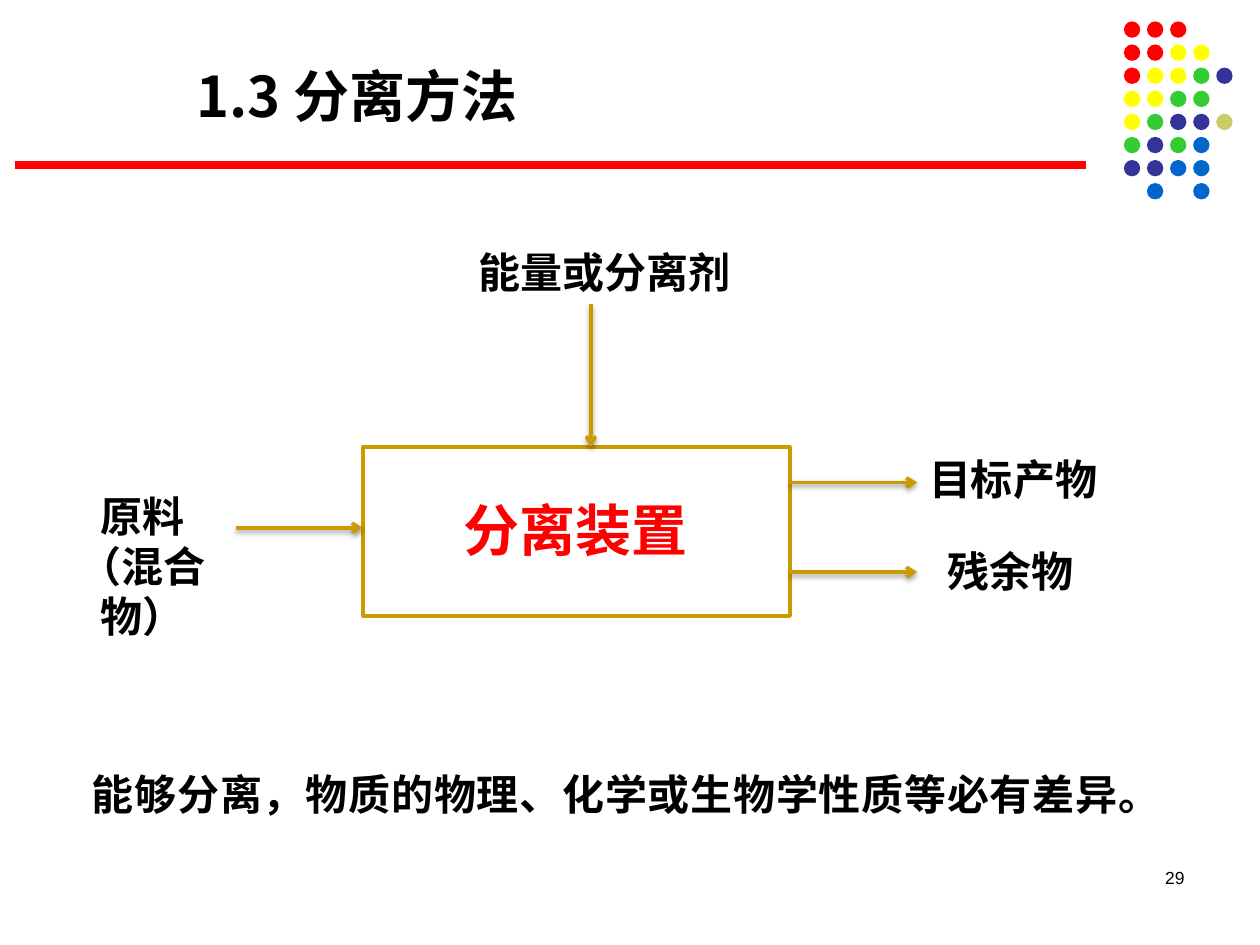
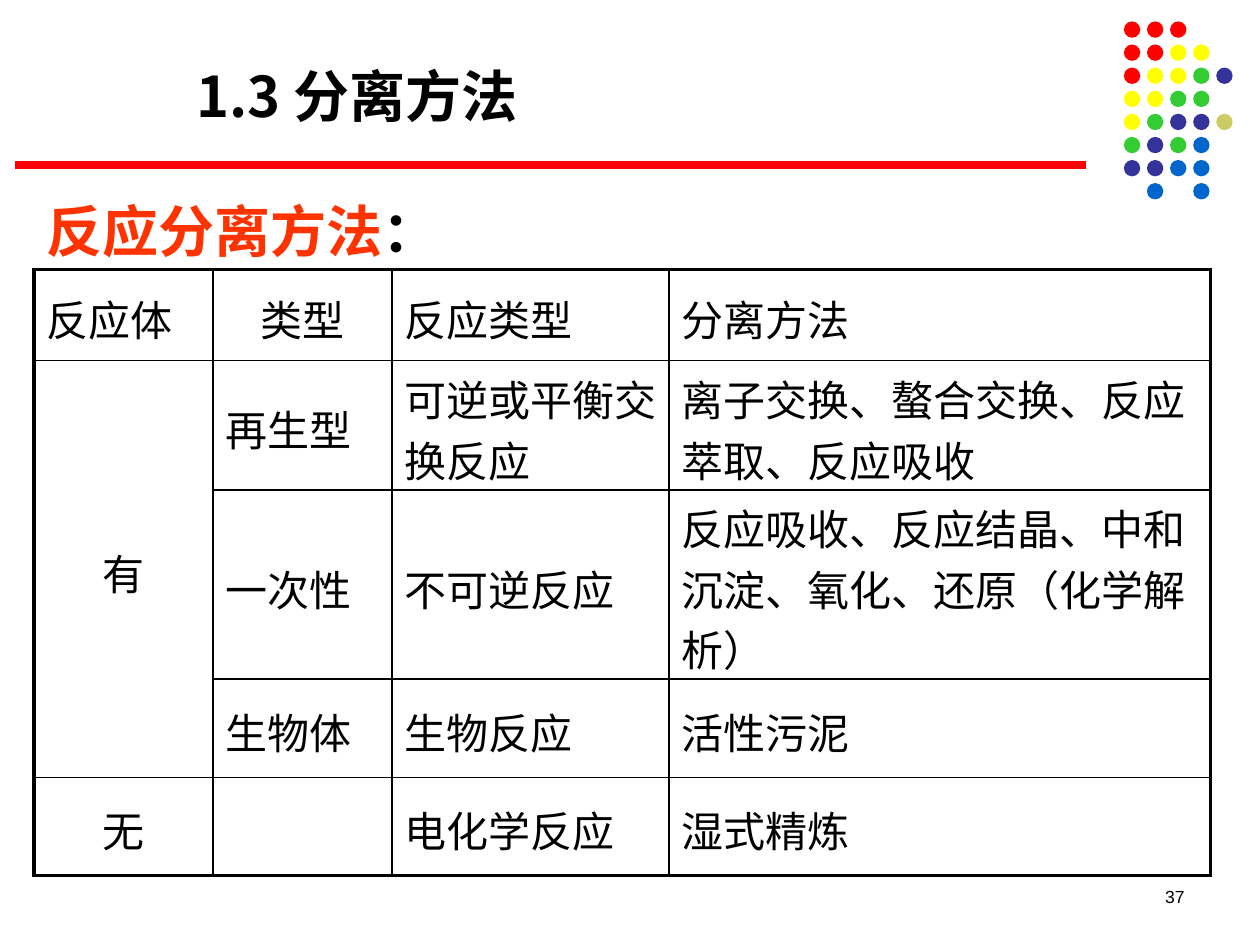
from lxml import etree
from pptx import Presentation
from pptx.dml.color import RGBColor
from pptx.enum.shapes import MSO_CONNECTOR, MSO_SHAPE
from pptx.enum.text import MSO_ANCHOR, MSO_AUTO_SIZE, PP_ALIGN
from pptx.oxml import parse_xml
from pptx.oxml.ns import nsdecls, qn
from pptx.util import Inches, Pt

BLACK = RGBColor(0x00, 0x00, 0x00)
WHITE = RGBColor(0xFF, 0xFF, 0xFF)
RED = RGBColor(0xFF, 0x00, 0x00)
ORANGE_RED = RGBColor(0xFF, 0x33, 0x00)
GOLD = RGBColor(0xCC, 0x99, 0x00)
DOT_COLORS = {
    "R": RED,
    "Y": RGBColor(0xFF, 0xFF, 0x00),
    "G": RGBColor(0x33, 0xCC, 0x33),
    "P": RGBColor(0x33, 0x33, 0x99),
    "B": RGBColor(0x00, 0x66, 0xCC),
    "K": RGBColor(0xCC, 0xCC, 0x66),
}
DOT_ROWS = ["RRR", "RRYY", "RYYGP", "YYGG", "YGPPK", "GPGB", "PPBB", " B B"]
DOT_PITCH = 1.1 / 6
CHINESE_FONT = "Noto Sans CJK SC"
NUMBER_FONT = "Arial"
SECTION_TITLE = "1.3 分离方法"

COLUMN_WIDTHS = [1.42, 1.42, 2.2, 4.3]
ROW_HEIGHTS = [0.72, 1.03, 1.5, 0.78, 0.78]
METHOD_ROWS = [
    ["反应体", "类型", "反应类型", "分离方法"],
    ["有", "再生型", "可逆或平衡交换反应", "离子交换、螯合交换、反应萃取、反应吸收"],
    ["", "一次性", "不可逆反应", "反应吸收、反应结晶、中和沉淀、氧化、还原（化学解析）"],
    ["", "生物体", "生物反应", "活性污泥"],
    ["无", "", "电化学反应", "湿式精炼"],
]
CENTERED_WORDS = {"类型", "有", "无"}


def add_run(paragraph, text, size, color, bold, font):
    run = paragraph.add_run()
    run.text = text
    run.font.size = Pt(size)
    run.font.bold = bold
    run.font.color.rgb = color
    run.font.name = font
    east_asian = etree.SubElement(run.font._element, qn("a:ea"))
    east_asian.set("typeface", font)


def write_text(frame, text, size=24, color=BLACK, bold=True, font=CHINESE_FONT,
               align=PP_ALIGN.CENTER, spacing=1.0, ending=""):
    frame.word_wrap = True
    for index, line in enumerate(text.split("\n")):
        paragraph = frame.paragraphs[0] if index == 0 else frame.add_paragraph()
        paragraph.alignment = align
        paragraph.line_spacing = spacing
        add_run(paragraph, line, size, color, bold, font)
    if ending:
        add_run(paragraph, ending, size, BLACK, bold, font)


def add_label(slide, left, top, width, height, text, **text_format):
    box = slide.shapes.add_textbox(Inches(left), Inches(top), Inches(width), Inches(height))
    write_text(box.text_frame, text, **text_format)


def add_block(slide, preset, left, top, width, height, fill, outline=None):
    shape = slide.shapes.add_shape(
        preset, Inches(left), Inches(top), Inches(width), Inches(height))
    shape.shadow.inherit = False
    shape.fill.solid()
    shape.fill.fore_color.rgb = fill
    if outline is None:
        shape.line.fill.background()
    else:
        shape.line.color.rgb = outline
        shape.line.width = Pt(2)


def add_line(slide, start, end, color, width):
    line = slide.shapes.add_connector(
        MSO_CONNECTOR.STRAIGHT, *(Inches(value) for value in start + end))
    line.line.color.rgb = color
    line.line.width = Pt(width)
    effects = etree.SubElement(line._element.spPr, qn("a:effectLst"))
    return line, effects


def add_arrow(slide, start, end):
    line, effects = add_line(slide, start, end, GOLD, 2)
    etree.SubElement(line.line._get_or_add_ln(), qn("a:tailEnd"), type="arrow")
    effects.append(parse_xml(
        f'<a:outerShdw {nsdecls("a")} blurRad="{Pt(3.1)}" dist="{Pt(1.6)}" '
        'dir="5400000" rotWithShape="0"><a:srgbClr val="000000">'
        '<a:alpha val="38000"/></a:srgbClr></a:outerShdw>'))


def add_dots(slide):
    for row, codes in enumerate(DOT_ROWS):
        for column, code in enumerate(codes):
            if code in DOT_COLORS:
                add_block(slide, MSO_SHAPE.OVAL, 8.92 + column * DOT_PITCH,
                          0.17 + row * DOT_PITCH, 0.13, 0.13, DOT_COLORS[code])


def add_section_slide(presentation):
    slide = presentation.slides.add_slide(presentation.slide_layouts[5])
    title = slide.shapes.title
    title.left, title.top = Inches(1.46), Inches(0.44)
    title.width, title.height = Inches(3.55), Inches(0.64)
    title.text_frame.auto_size = MSO_AUTO_SIZE.NONE
    title.text_frame.vertical_anchor = MSO_ANCHOR.TOP
    write_text(title.text_frame, SECTION_TITLE, size=32, align=PP_ALIGN.LEFT)
    add_dots(slide)
    add_line(slide, (0.12, 1.31), (8.62, 1.31), RED, 4.5)
    return slide


def add_page_number(slide, number, top=6.83):
    add_label(slide, 7.17, top, 2.33, 0.5, number, size=10, bold=False,
              font=NUMBER_FONT, align=PP_ALIGN.RIGHT)


def set_borders(cell, widths):
    properties = cell._tc.get_or_add_tcPr()
    for index, (side, width) in enumerate(zip("LRTB", widths)):
        properties.insert(index, parse_xml(
            f'<a:ln{side} {nsdecls("a")} w="{Pt(width)}"><a:solidFill>'
            f'<a:srgbClr val="{BLACK}"/></a:solidFill></a:ln{side}>'))


def add_method_table(slide):
    last_row, last_column = len(ROW_HEIGHTS) - 1, len(COLUMN_WIDTHS) - 1
    table = slide.shapes.add_table(
        len(ROW_HEIGHTS), len(COLUMN_WIDTHS), Inches(0.27), Inches(2.14),
        Inches(sum(COLUMN_WIDTHS)), Inches(sum(ROW_HEIGHTS))).table
    table.first_row = False
    table.horz_banding = False
    for column, width in zip(table.columns, COLUMN_WIDTHS):
        column.width = Inches(width)
    for row, height in zip(table.rows, ROW_HEIGHTS):
        row.height = Inches(height)
    table.cell(1, 0).merge(table.cell(3, 0))
    for row, texts in enumerate(METHOD_ROWS):
        for column, text in enumerate(texts):
            cell = table.cell(row, column)
            cell.fill.background()
            cell.vertical_anchor = MSO_ANCHOR.MIDDLE
            cell.margin_top, cell.margin_bottom = Inches(0.05), 0
            outer_edges = (column == 0, column == last_column, row == 0, row == last_row)
            set_borders(cell, [2.25 if outer else 1 for outer in outer_edges])
            if text:
                align = PP_ALIGN.CENTER if text in CENTERED_WORDS else PP_ALIGN.LEFT
                write_text(cell.text_frame, text, bold=False, align=align)


def build_process_slide(presentation):
    slide = add_section_slide(presentation)
    add_label(slide, 0.63, 5.85, 8.35, 0.71,
              "能够分离，物质的物理、化学或生物学性质等必有差异。",
              align=PP_ALIGN.JUSTIFY, spacing=1.5)
    add_page_number(slide, "29")
    add_block(slide, MSO_SHAPE.RECTANGLE, 2.88, 3.55, 3.39, 1.34, WHITE, GOLD)
    add_arrow(slide, (4.69, 2.41), (4.69, 3.55))
    add_arrow(slide, (1.87, 4.19), (2.88, 4.19))
    for outlet in (3.83, 4.54):
        add_arrow(slide, (6.27, outlet), (7.28, outlet))
    add_label(slide, 3.66, 1.91, 2.28, 0.51, "能量或分离剂")
    add_label(slide, 0.35, 3.84, 1.57, 0.91, "原料\n（混合物）")
    add_label(slide, 7.28, 4.28, 1.48, 0.51, "残余物")
    add_label(slide, 3.43, 3.88, 2.28, 0.64, "分离装置", size=32, color=RED)
    add_label(slide, 7.02, 3.55, 2.04, 0.51, "目标产物")


def build_method_slide(presentation):
    slide = add_section_slide(presentation)
    add_label(slide, 0.27, 1.38, 9.13, 0.77, "反应分离方法", size=32, color=ORANGE_RED,
              align=PP_ALIGN.JUSTIFY, spacing=1.25, ending="：")
    add_method_table(slide)
    add_page_number(slide, "37", top=6.98)


def main():
    presentation = Presentation()
    presentation.slide_width = Inches(10)
    presentation.slide_height = Inches(7.5)
    build_process_slide(presentation)
    build_method_slide(presentation)
    presentation.save("out.pptx")


if __name__ == "__main__":
    main()
